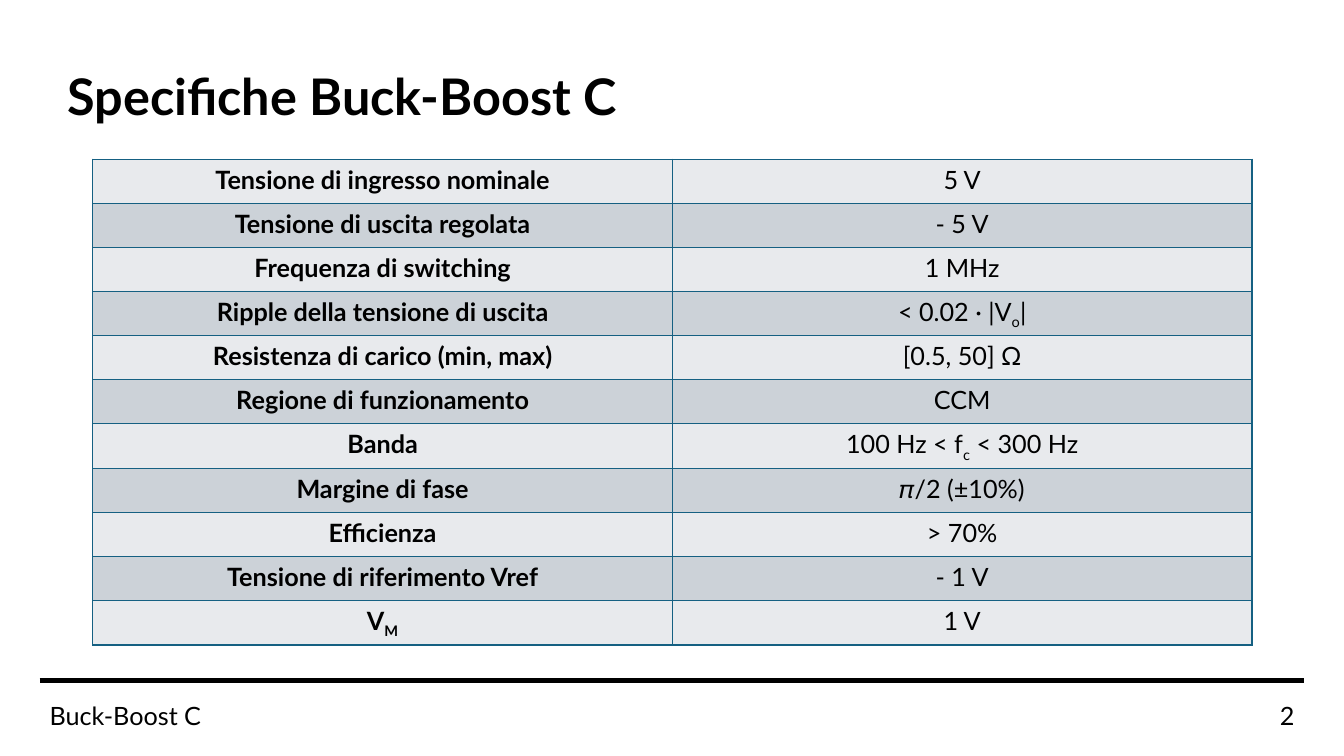
from dataclasses import dataclass
from lxml.etree import SubElement as Sub
from pptx import Presentation
from pptx.dml.color import RGBColor as Rgb
from pptx.enum.shapes import MSO_CONNECTOR as Link
from pptx.enum.text import MSO_ANCHOR as Anchor, PP_ALIGN as Align
from pptx.oxml.ns import qn
from pptx.util import Cm, Pt


@dataclass(frozen=True)
class Theme:
    face: str = "Lato"
    ink: str = "000000"
    edge: str = "156082"
    bands: tuple = ("E8EAED", "CCD2D8")
    head: int = 36
    body: int = 18
    rule: int = 3
    grid: int = 1


class Page:
    def __init__(self, deck, theme):
        self.theme = theme
        self.slide = deck.slides.add_slide(deck.slide_layouts[6])

    def text(self, para, words, size, bold=False, align=Align.LEFT, lead=None):
        """Fill a paragraph; parts between tildes are subscripts."""
        para.alignment = align
        para.line_spacing = lead
        form = {"name": self.theme.face, "size": Pt(size), "bold": bold}
        for i, part in enumerate(words.split("~")):
            run = para.add_run()
            run.text = part
            for key, value in form.items():
                setattr(run.font, key, value)
            run.font.color.rgb = Rgb.from_string(self.theme.ink)
            if i % 2:
                run.font._element.set("baseline", "-25000")

    def label(self, words, box, size, anchor=Anchor.TOP, **form):
        frame = self.slide.shapes.add_textbox(*map(Cm, box)).text_frame
        frame.word_wrap = True
        frame.vertical_anchor = anchor
        self.text(frame.paragraphs[0], words, size, **form)

    def line(self, start, end):
        rule = self.slide.shapes.add_connector(
            Link.STRAIGHT, *map(Cm, start + end))
        rule.line.color.rgb = Rgb.from_string(self.theme.ink)
        rule.line.width = Pt(self.theme.rule)
        Sub(rule._element.spPr, qn("a:effectLst"))

    def border(self, cell):
        props = cell._tc.get_or_add_tcPr()
        for i, side in enumerate(("lnL", "lnR", "lnT", "lnB")):
            edge = props.makeelement(
                qn(f"a:{side}"), {"w": str(Pt(self.theme.grid))})
            fill = Sub(edge, qn("a:solidFill"))
            Sub(fill, qn("a:srgbClr"), val=self.theme.edge)
            props.insert(i, edge)

    def table(self, rows, left, top, width, step):
        grid = self.slide.shapes.add_table(
            len(rows), len(rows[0]), Cm(left), Cm(top),
            Cm(width), Cm(step * len(rows))).table
        grid.first_row = grid.horz_banding = False
        for r, row in enumerate(rows):
            grid.rows[r].height = Cm(step)
            for c, words in enumerate(row):
                cell = grid.cell(r, c)
                cell.fill.solid()
                cell.fill.fore_color.rgb = Rgb.from_string(
                    self.theme.bands[r % 2])
                self.border(cell)
                self.text(cell.text_frame.paragraphs[0], words,
                          self.theme.body, bold=c == 0, align=Align.CENTER)


SPECS = [
    ("Tensione di ingresso nominale", "5 V"),
    ("Tensione di uscita regolata", "- 5 V"),
    ("Frequenza di switching", "1 MHz"),
    ("Ripple della tensione di uscita", "< 0.02 ∙ |V~o~|"),
    ("Resistenza di carico (min, max)", "[0.5, 50] Ω"),
    ("Regione di funzionamento", "CCM"),
    ("Banda", "100 Hz < f~c~ < 300 Hz"),
    ("Margine di fase", "𝜋/2 (±10%)"),
    ("Efficienza", "> 70%"),
    ("Tensione di riferimento Vref", "- 1 V"),
    ("V~M", "1 V"),
]


def main():
    deck = Presentation()
    deck.slide_width, deck.slide_height = Cm(33.87), Cm(19.05)
    theme = Theme()
    page = Page(deck, theme)

    # Footer
    page.line((1, 17.15), (32.87, 17.15))
    page.label("Buck-Boost C", (1, 17.53, 6.15, 1.02), theme.body)
    page.label("2", (30.46, 17.53, 2.41, 1.02), theme.body,
               anchor=Anchor.MIDDLE, align=Align.RIGHT)

    # Title
    page.label("Specifiche Buck-Boost C", (1.45, 1.37, 29.21, 2.24),
               theme.head, anchor=Anchor.MIDDLE, bold=True, lead=0.9)

    # Specifications
    page.table(SPECS, 2.34, 4.01, 29.21, 1.11)

    deck.save("out.pptx")


if __name__ == "__main__":
    main()
